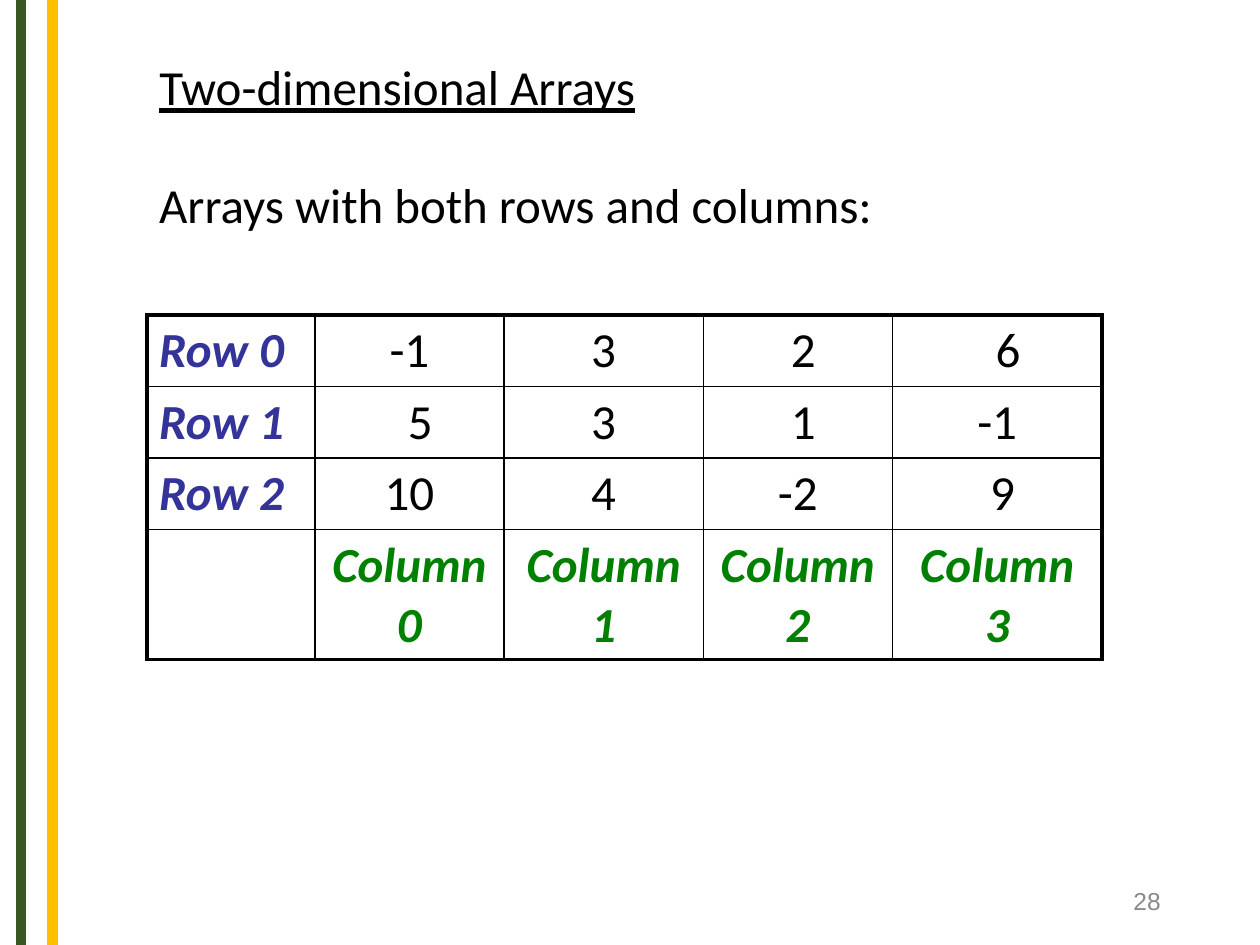
from lxml import etree
from pptx import Presentation
from pptx.dml.color import RGBColor
from pptx.enum import shapes, text
from pptx.oxml.ns import qn
from pptx.util import Cm, Pt

TITLE = "Two-dimensional Arrays"
LEAD = "Arrays with both rows and columns:"
PAGE = "28"
ROWS = [
    ["Row 0", "-1", "3", "2", "6"],
    ["Row 1", "5", "3", "1", "-1"],
    ["Row 2", "10", "4", "-2", "9"],
    ["", "Column 0", "Column 1", "Column 2", "Column 3"],
]
# Extra left inset of single cells, in steps: (row, column) -> steps
NUDGE = {(0, 3): 1, (0, 4): 2, (1, 1): 2, (1, 3): 1, (2, 4): 1}
STEP = 0.22
WIDTHS = [3.39, 3.81, 4.02, 3.81, 4.23]
HEIGHTS = [1.44, 1.44, 1.44, 2.62]
LEFT = 2.96
BARS = [(0.42, "green"), (1.06, "gold")]

THEME = {
    "green": "385723", "gold": "FFC000", "ink": "000000", "grey": "898989",
    "row": "333399", "col": "008000",
    "font": "Calibri", "num": "Arial", "size": 28, "small": 14,
    "bar": 6, "outer": 2.25, "inner": 1,
}
ALIGN = text.PP_ALIGN


def tint(name):
    return RGBColor.from_string(THEME[name])


def write(frame, words, color="ink", align=ALIGN.LEFT, face="font",
          size="size", strong=False):
    frame.text = words
    par = frame.paragraphs[0]
    par.alignment = align
    font = par.font
    font.name, font.size = THEME[face], Pt(THEME[size])
    font.color.rgb = tint(color)
    font.bold = font.italic = strong
    return font


def place(shape, x, y, w, h):
    shape.left, shape.top, shape.width, shape.height = map(Cm, (x, y, w, h))


def add_text(slide, box, words, anchor=text.MSO_ANCHOR.TOP, **look):
    frame = slide.shapes.add_textbox(*map(Cm, box)).text_frame
    frame.word_wrap = True
    frame.vertical_anchor = anchor
    write(frame, words, **look)


def add_bar(slide, x, color, high):
    bar = slide.shapes.add_connector(
        shapes.MSO_CONNECTOR.STRAIGHT, Cm(x), 0, Cm(x), high)
    bar.line.color.rgb = tint(color)
    bar.line.width = Pt(THEME["bar"])
    etree.SubElement(bar._element.spPr, qn("a:effectLst"))


def add_edges(cell, outer):
    """Draw the four borders; outer maps each side to whether it is outermost."""
    props = cell._tc.get_or_add_tcPr()
    for spot, (side, edge) in enumerate(outer.items()):
        wide = Pt(THEME["outer" if edge else "inner"])
        line = etree.Element(qn("a:ln" + side), w=str(int(wide)))
        fill = etree.SubElement(line, qn("a:solidFill"))
        etree.SubElement(fill, qn("a:srgbClr"), val=THEME["ink"])
        props.insert(spot, line)


def add_grid(slide):
    last, end = len(ROWS) - 1, len(WIDTHS) - 1
    table = slide.shapes.add_table(
        len(ROWS), len(WIDTHS), Cm(LEFT), Cm(6.35),
        Cm(sum(WIDTHS)), Cm(sum(HEIGHTS))).table
    table.first_row = table.horz_banding = False
    for col, wide in zip(table.columns, WIDTHS):
        col.width = Cm(wide)
    for row, high in zip(table.rows, HEIGHTS):
        row.height = Cm(high)
    for r, row in enumerate(ROWS):
        for c, words in enumerate(row):
            cell = table.cell(r, c)
            color = "row" if c == 0 else "col" if r == last else "ink"
            write(cell.text_frame, words, color,
                  ALIGN.CENTER if c else ALIGN.LEFT, strong=color != "ink")
            cell.margin_left = Cm(0.25 + STEP * NUDGE.get((r, c), 0))
            cell.fill.background()
            add_edges(cell, {"L": c == 0, "R": c == end,
                             "T": r == 0, "B": r == last})


def main():
    deck = Presentation()
    deck.slide_width, deck.slide_height = Cm(25.4), Cm(19.05)
    slide = deck.slides.add_slide(deck.slide_layouts[5])
    for x, color in BARS:
        add_bar(slide, x, color, deck.slide_height)

    title = slide.shapes.title
    place(title, LEFT, 1.02, 17.8, 1.45)
    title.text_frame.vertical_anchor = text.MSO_ANCHOR.TOP
    write(title.text_frame, TITLE).underline = True

    add_text(slide, (LEFT, 3.4, 17.8, 1.45), LEAD)
    add_grid(slide)
    add_text(slide, (17.93, 17.65, 5.72, 1.02), PAGE,
             text.MSO_ANCHOR.MIDDLE, color="grey", align=ALIGN.RIGHT,
             face="num", size="small")
    deck.save("out.pptx")


if __name__ == "__main__":
    main()
